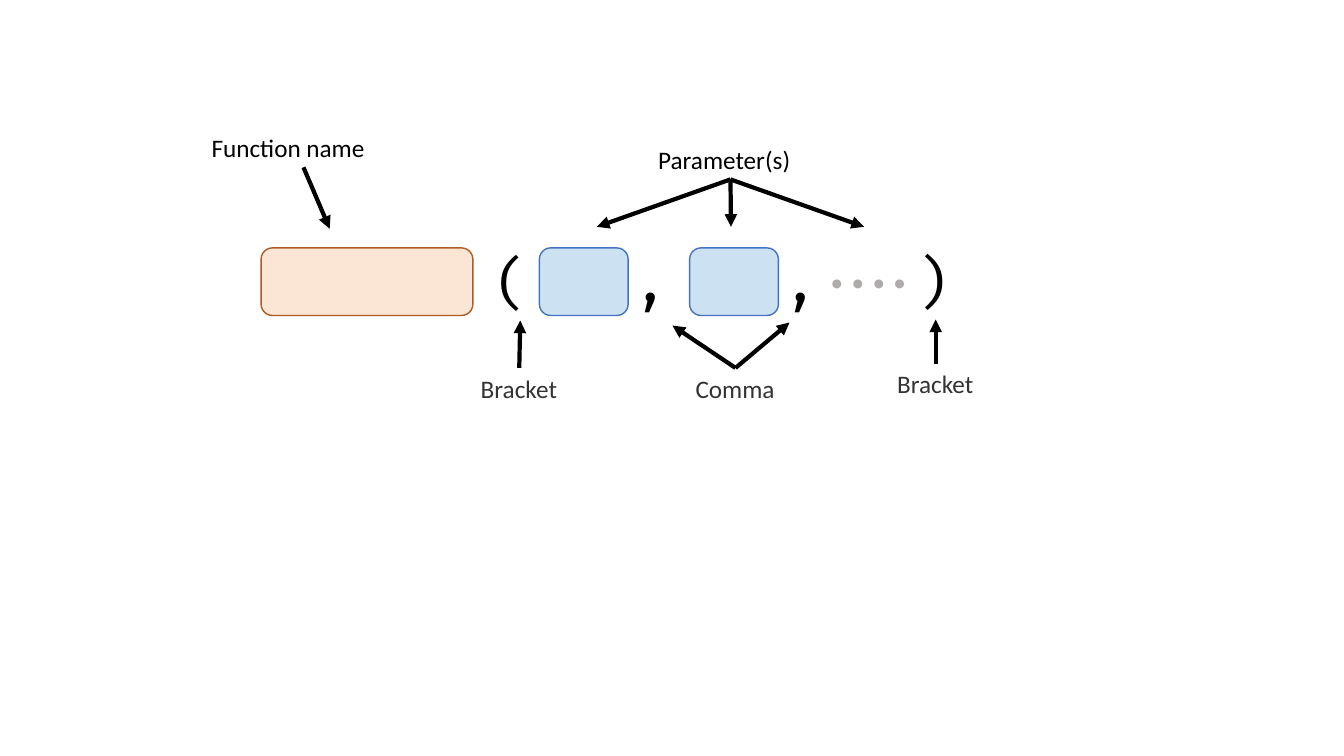
from lxml import etree
from pptx import Presentation, util as u
from pptx.dml.color import RGBColor
from pptx.enum import shapes, text
from pptx.oxml import ns

COLORS = {
    "ink": "000000", "label": "333333", "dots": "AFABAB",
    "name_fill": "ED7D31", "name_line": "AF5C24",
    "param_fill": "0070C0", "param_line": "4472C4",
}
CELL = u.Inches(0.1)  # one column or row of the grid
TOP, BOTTOM = 0, 2    # connection sites


class Diagram:
    """Holds the style and the current slide; lengths are grid columns and rows."""

    def __init__(self, deck):
        self.page = deck.slides.add_slide(deck.slide_layouts[6])

    def grid(self, *cells):
        return [round(cell * CELL) for cell in cells]

    def color(self, name):
        return RGBColor.from_string(COLORS[name])

    def add(self, parent, tag, **attributes):
        return etree.SubElement(parent, ns.qn(tag), attributes)

    def slot(self, left, width, kind):
        """Rounded box with a pale, mostly transparent fill."""
        box = self.page.shapes.add_shape(
            shapes.MSO_SHAPE.ROUNDED_RECTANGLE, *self.grid(left, 24.6, width, 6.7))
        box.shadow.inherit = False
        box.fill.solid()
        box.fill.fore_color.rgb = self.color(kind + "_fill")
        fill = box.fill._xPr.find(ns.qn("a:solidFill"))
        self.add(fill[0], "a:alpha", val="20000")
        box.line.color.rgb = self.color(kind + "_line")
        box.line.width = u.Pt(1)

    def words(self, wording, left, top, width, height=4, color="ink",
              wrap=True, spacing=None, **font):
        box = self.page.shapes.add_textbox(*self.grid(left, top, width, height))
        box.text_frame.word_wrap = wrap
        box.text_frame.auto_size = text.MSO_AUTO_SIZE.SHAPE_TO_FIT_TEXT
        para = box.text_frame.paragraphs[0]
        span = para.add_run()
        span.text = wording
        span.font.color.rgb = self.color(color)
        style = {"name": "Calibri", "size": u.Pt(18), **font}
        for key, value in style.items():
            setattr(span.font, key, value)
        if spacing:
            span.font._element.set("spc", str(spacing * 100))
        return box

    def symbol(self, wording, left, top=24):
        self.words(wording, left, top, 6.9, 7.7, name="Fira Code", size=u.Pt(40))

    def arrows(self, label, side, *targets):
        """Arrows from the middle of a label's side to each target."""
        for target in targets:
            line = self.page.shapes.add_connector(
                shapes.MSO_CONNECTOR.STRAIGHT, 0, 0, *self.grid(*target))
            line.begin_connect(label, side)
            line.line.color.rgb = self.color("ink")
            line.line.width = u.Pt(3)
            self.add(line.line._get_or_add_ln(), "a:tailEnd", type="triangle")
            self.add(line._element.spPr, "a:effectLst")


def main():
    deck = Presentation()
    deck.slide_width, deck.slide_height = u.Inches(13.33), u.Inches(7.5)
    diagram = Diagram(deck)

    # Function call pattern: name ( parameter , parameter , •••• )
    diagram.slot(25.9, 21, "name")
    diagram.symbol("(", 48.1, 24.1)
    for left in (53.5, 68.4):
        diagram.slot(left, 8.8, "param")
        diagram.symbol(",", left + 8.3)
    diagram.words("••••", 81.4, 25.9, 12.8, color="dots", spacing=6)
    diagram.symbol(")", 89.8)

    # Labels above
    name = diagram.words("Function name", 20, 12.6, 20.2)
    diagram.arrows(name, BOTTOM, (32.7, 22.7))
    params = diagram.words("Parameter(s)", 64.3, 13.8, 16.3)
    diagram.arrows(params, BOTTOM, (59.2, 22.5), (72.5, 22.5), (85.7, 22.5))

    # Labels below
    for wording, left, top, width, targets in (
        ("Bracket", 46.7, 36.5, 9.6, [(51.6, 31.8)]),
        ("Comma", 68, 36.5, 9.9, [(66.7, 32.3), (78.3, 32)]),
        ("Bracket", 88, 36.1, 9.6, [(92.8, 31.7)]),
    ):
        label = diagram.words(wording, left, top, width, color="label", wrap=False)
        diagram.arrows(label, TOP, *targets)

    deck.save("out.pptx")


if __name__ == "__main__":
    main()
